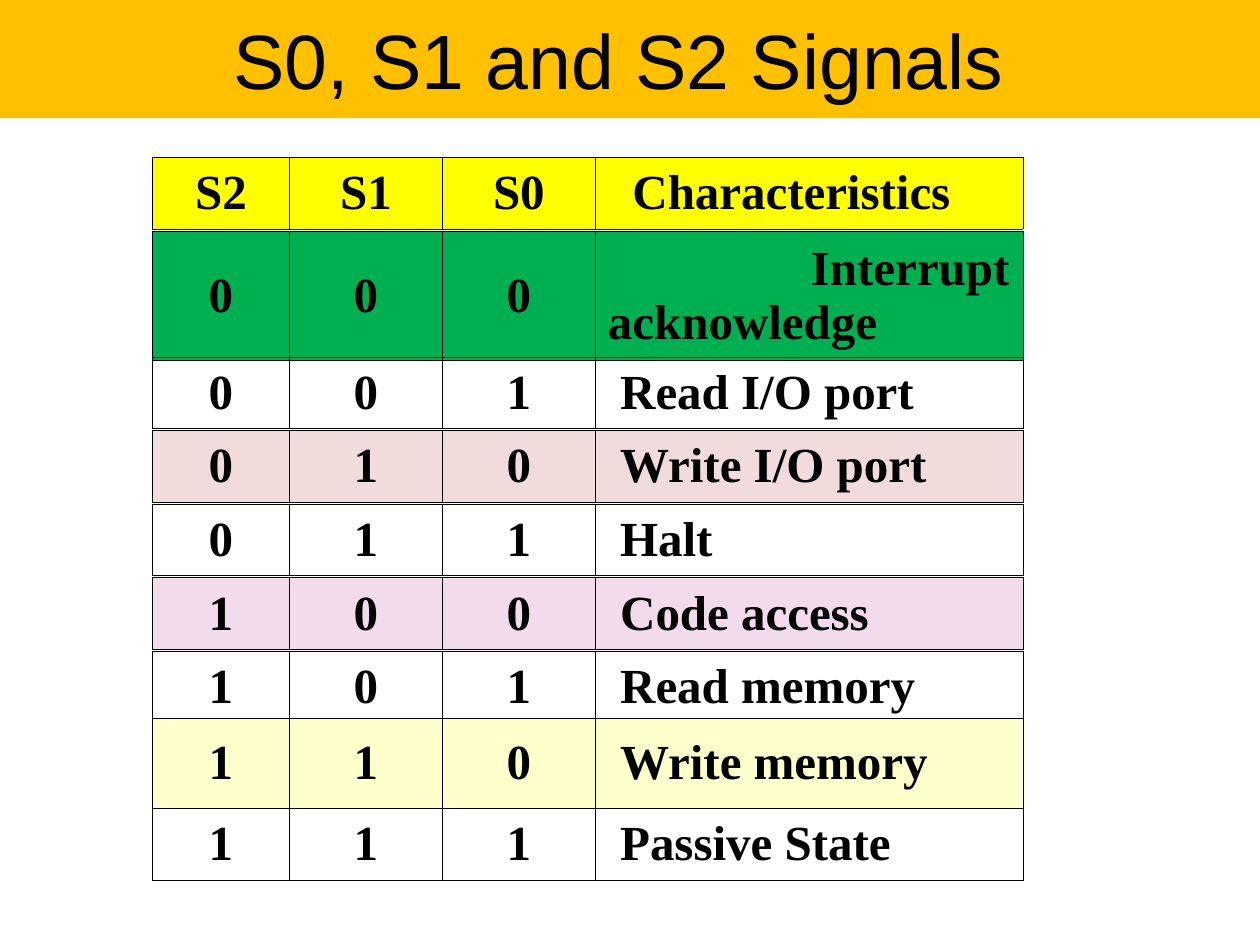
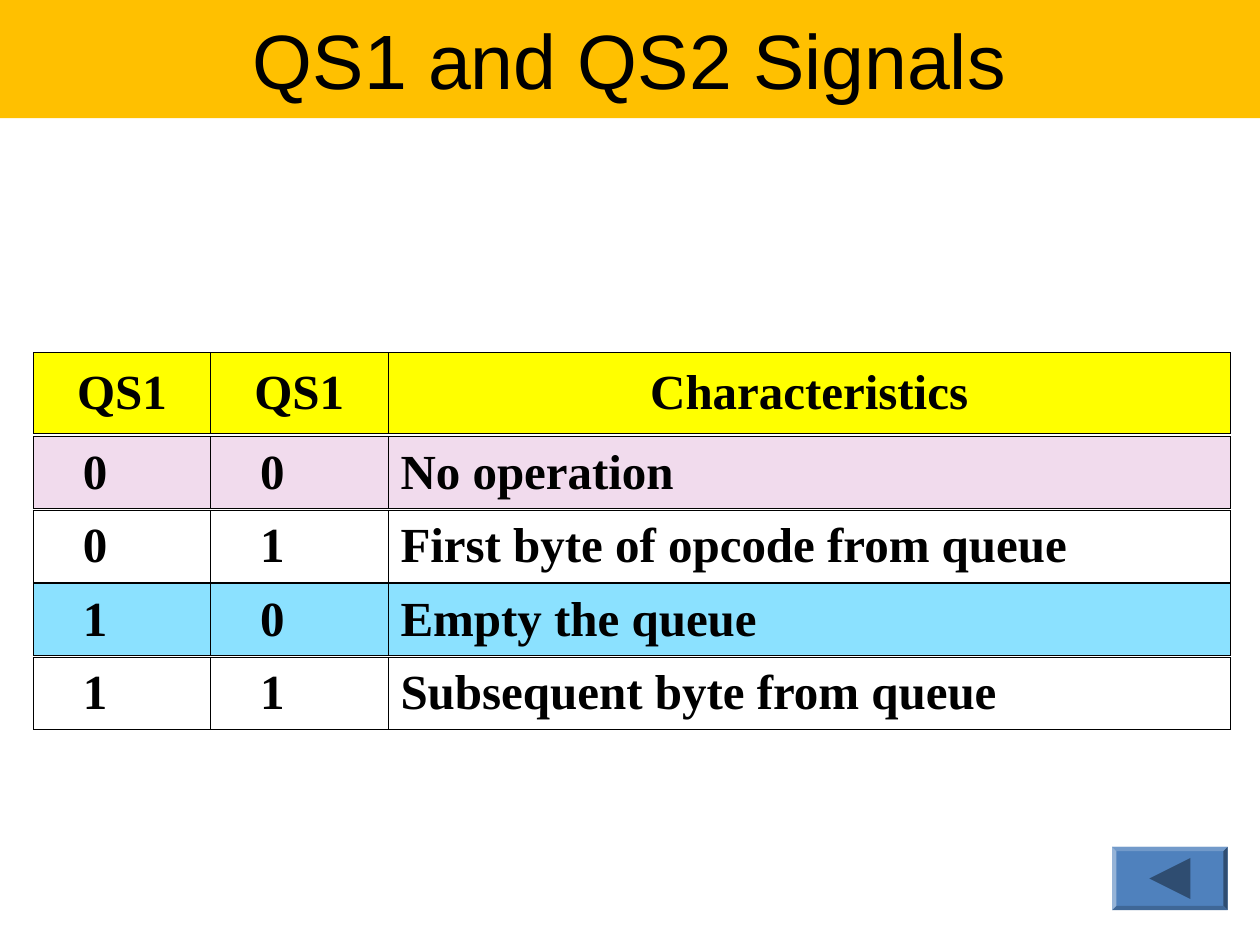
from dataclasses import dataclass
from typing import Optional, Sequence

from lxml import etree
from pptx import Presentation
from pptx.dml.color import RGBColor
from pptx.enum import shapes, text
from pptx.oxml import ns
from pptx.util import Pt


@dataclass(frozen=True)
class Theme:
    band: str = "FFC000"
    ink: str = "000000"
    header: str = "FFFF00"
    green: str = "00B050"
    rose: str = "F2DCDB"
    lilac: str = "F1DBED"
    cream: str = "FFFFCC"
    sky: str = "8BE1FF"
    button: str = "4F81BD"
    button_top: str = "729ACA"
    button_left: str = "95B3D7"
    button_bottom: str = "3F6797"
    button_dark: str = "2F4D71"
    title_font: str = "Arial"
    table_font: str = "Times New Roman"
    title_size: float = 44
    table_size: float = 28
    rule: float = 0.45


@dataclass(frozen=True)
class SignalRow:
    top: float
    bits: Sequence[str]
    label: str
    fill: Optional[str] = None
    height: float = 41
    bit_indent: Optional[float] = None
    label_indent: Optional[float] = 7


@dataclass(frozen=True)
class SignalTable:
    left: float
    widths: Sequence[float]
    rows: Sequence[SignalRow]


@dataclass(frozen=True)
class Facet:
    points: Sequence[tuple[float, float]]
    color: str


THEME = Theme()
SLIDE_W, SLIDE_H = 720, 540
PITCH = 42

STATUS_TABLE = SignalTable(87.1, (78.3, 87.4, 87.4, 244.4), (
    SignalRow(89.8, ("S2", "S1", "S0"), "Characteristics", THEME.header, label_indent=14),
    SignalRow(132, "000", "Interrupt acknowledge", THEME.green, height=74, label_indent=116),
    SignalRow(204, "001", "Read I/O port"),
    SignalRow(204 + PITCH, "010", "Write I/O port", THEME.rose),
    SignalRow(204 + 2 * PITCH, "011", "Halt"),
    SignalRow(204 + 3 * PITCH, "100", "Code access", THEME.lilac),
    SignalRow(204 + 4 * PITCH, "101", "Read memory"),
    SignalRow(410.4, "110", "Write memory", THEME.cream, height=51.4),
    SignalRow(462, "111", "Passive State"),
))

QUEUE_ROWS = (
    ("00", "No operation", THEME.lilac),
    ("01", "First byte of opcode from queue", None),
    ("10", "Empty the queue", THEME.sky),
    ("11", "Subsequent byte from queue", None),
)
QUEUE_TABLE = SignalTable(19.1, (101.3, 101.3, 481.4), (
    SignalRow(201.4, ("QS1", "QS1"), "Characteristics", THEME.header,
              height=46.2, label_indent=None),
    *(SignalRow(249.6 + i * PITCH, bits, label, fill, bit_indent=21, label_indent=0)
      for i, (bits, label, fill) in enumerate(QUEUE_ROWS)),
))


def rgb(color: str) -> RGBColor:
    return RGBColor.from_string(color)


def write(tf, content: str, *, font: str, size: float, bold: bool = False,
          indent: Optional[float] = None) -> None:
    tf.word_wrap = True
    p = tf.paragraphs[0]
    if indent is None:
        p.alignment = text.PP_ALIGN.CENTER
    else:
        p.alignment = text.PP_ALIGN.LEFT
        pPr = p._p.get_or_add_pPr()
        pPr.set("marL", "0")
        pPr.set("indent", str(int(Pt(indent))))
    r = p.add_run()
    r.text = content
    r.font.name, r.font.size, r.font.bold = font, Pt(size), bold
    r.font.color.rgb = rgb(THEME.ink)


def paint(sp, color: str) -> None:
    sp.shadow.inherit = False
    sp.fill.solid()
    sp.fill.fore_color.rgb = rgb(color)
    sp.line.fill.background()


def add_box(s, left: float, top: float, width: float, height: float, color: str):
    sp = s.shapes.add_shape(shapes.MSO_SHAPE.RECTANGLE,
                            Pt(left), Pt(top), Pt(width), Pt(height))
    paint(sp, color)
    return sp


def add_title(s, title: str, right_gap: float = 0) -> None:
    tf = add_box(s, 0, 0, SLIDE_W, 67.5, THEME.band).text_frame
    tf.vertical_anchor = text.MSO_ANCHOR.MIDDLE
    tf.margin_right = Pt(7.2 + right_gap)
    write(tf, title, font=THEME.title_font, size=THEME.title_size)


def add_borders(cell) -> None:
    tcPr = cell._tc.get_or_add_tcPr()
    for side in ("a:lnL", "a:lnR", "a:lnT", "a:lnB"):
        ln = etree.SubElement(tcPr, ns.qn(side), w=str(int(Pt(THEME.rule))))
        fill = etree.SubElement(ln, ns.qn("a:solidFill"))
        etree.SubElement(fill, ns.qn("a:srgbClr"), val=THEME.ink)


def add_row(s, table: SignalTable, row: SignalRow) -> None:
    frame = s.shapes.add_table(1, len(table.widths), Pt(table.left), Pt(row.top),
                               Pt(sum(table.widths)), Pt(row.height))
    tbl = frame.table
    tbl.first_row = tbl.horz_banding = False
    contents = [(bit, row.bit_indent) for bit in row.bits] + [(row.label, row.label_indent)]
    for col, width, (content, indent) in zip(tbl.columns, table.widths, contents):
        col.width = Pt(width)
    for cell, (content, indent) in zip(tbl.rows[0].cells, contents):
        cell.vertical_anchor = text.MSO_ANCHOR.MIDDLE
        add_borders(cell)
        if row.fill:
            cell.fill.solid()
            cell.fill.fore_color.rgb = rgb(row.fill)
        else:
            cell.fill.background()
        write(cell.text_frame, content, font=THEME.table_font, size=THEME.table_size,
              bold=True, indent=indent)


def add_facet(s, facet: Facet) -> None:
    points = [(Pt(x), Pt(y)) for x, y in facet.points]
    builder = s.shapes.build_freeform(*points[0])
    builder.add_line_segments(points[1:], close=True)
    paint(builder.convert_to_shape(), facet.color)


def add_back_button(s, left: float, top: float, width: float, height: float,
                    bevel: float = 2.4) -> None:
    add_box(s, left, top, width, height, THEME.button)
    right, bottom = left + width, top + height
    outer = [(left, top), (right, top), (right, bottom), (left, bottom)]
    inner = [(left + bevel, top + bevel), (right - bevel, top + bevel),
             (right - bevel, bottom - bevel), (left + bevel, bottom - bevel)]
    edge_colors = (THEME.button_top, THEME.button_dark,
                   THEME.button_bottom, THEME.button_left)
    for i, color in enumerate(edge_colors):
        j = (i + 1) % 4
        add_facet(s, Facet((outer[i], outer[j], inner[j], inner[i]), color))
    x, y, half = left + width / 2, top + height / 2, 11.7
    add_facet(s, Facet(((x - half, y), (x + half, y - half), (x + half, y + half)),
                       THEME.button_dark))


def add_signal_slide(prs, title: str, table: SignalTable, right_gap: float = 0):
    s = prs.slides.add_slide(prs.slide_layouts[6])
    for row in table.rows:
        add_row(s, table, row)
    add_title(s, title, right_gap)
    return s


def main() -> None:
    prs = Presentation()
    prs.slide_width, prs.slide_height = Pt(SLIDE_W), Pt(SLIDE_H)
    add_signal_slide(prs, "S0, S1 and S2 Signals", STATUS_TABLE, right_gap=12.2)
    s = add_signal_slide(prs, "QS1 and QS2 Signals", QUEUE_TABLE)
    add_back_button(s, 635.5, 484, 66, 36)
    prs.save("out.pptx")


if __name__ == "__main__":
    main()
